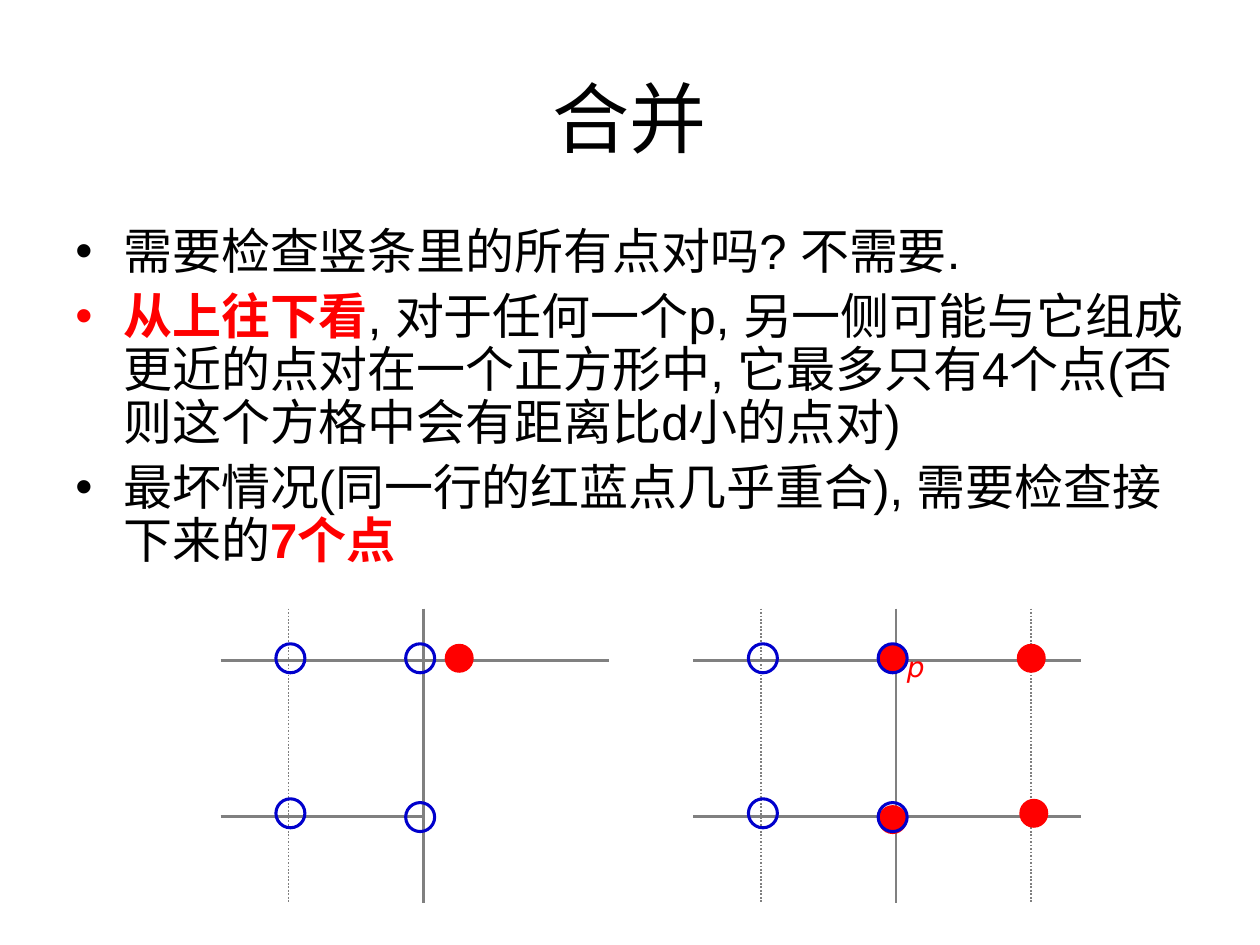
from dataclasses import dataclass

from lxml import etree
from pptx import Presentation
from pptx.dml.color import RGBColor
from pptx.enum.dml import MSO_LINE
from pptx.enum.shapes import MSO_CONNECTOR, MSO_SHAPE
from pptx.enum.text import MSO_ANCHOR, MSO_AUTO_SIZE, PP_ALIGN
from pptx.oxml.ns import qn
from pptx.util import Inches, Pt

STRAIGHT = MSO_CONNECTOR.STRAIGHT
OVAL = MSO_SHAPE.OVAL
DOTS = MSO_LINE.ROUND_DOT
MIDDLE = MSO_ANCHOR.MIDDLE
GROW = MSO_AUTO_SIZE.SHAPE_TO_FIT_TEXT
CENTER = PP_ALIGN.CENTER


@dataclass(frozen=True)
class Theme:
    """Colours, fonts and type sizes of the slide."""
    ink: str = "000000"
    red: str = "FF0000"
    blue: str = "0000CC"
    gray: str = "808080"
    font: str = "Arial"
    label_font: str = "DejaVu Sans"
    title: int = 44
    body: int = 28
    label: int = 16


THEME = Theme()
TOP, BOTTOM = 4.83, 7.17
ROWS = 5.24, 6.48
DOT = 0.23
SHIFT = 3.75

POINTS = [
    [("需要检查竖条里的所有点对吗? 不需要.", False)],
    [("从上往下看", True),
     (", 对于任何一个p, 另一侧可能与它组成更近的点对在一个正方形中, "
      "它最多只有4个点(否则这个方格中会有距离比d小的点对)", False)],
    [("最坏情况(同一行的红蓝点几乎重合), 需要检查接下来的", False),
     ("7个点", True)],
]


def rgb(code):
    """Turn a hex code into a colour."""
    return RGBColor.from_string(code)


def add_box(shapes, left, top, width, height):
    """Add a text box and return its frame."""
    box = shapes.add_textbox(*map(Inches, (left, top, width, height)))
    box.text_frame.word_wrap = True
    return box.text_frame


def set_font(font, name, size, color):
    """Set the face, size and colour of a font."""
    font.name, font.size = name, Pt(size)
    font.color.rgb = rgb(color)


def add_bullet(para, color):
    """Give a paragraph a hanging round bullet."""
    props = para._p.get_or_add_pPr()
    props.set("marL", str(Inches(0.38)))
    props.set("indent", str(Inches(-0.38)))
    tint = etree.SubElement(props, qn("a:buClr"))
    etree.SubElement(tint, qn("a:srgbClr"), val=color)
    etree.SubElement(props, qn("a:buFont"), typeface=THEME.font)
    etree.SubElement(props, qn("a:buChar"), char="•")


def add_title(shapes, text):
    """Add the centred slide title."""
    frame = add_box(shapes, 0.5, 0.3, 9, 1.25)
    frame.vertical_anchor = MIDDLE
    para = frame.paragraphs[0]
    para.text, para.alignment = text, CENTER
    set_font(para.font, THEME.font, THEME.title, THEME.ink)


def add_body(shapes, points):
    """Add the bullet list with its stressed runs."""
    frame = add_box(shapes, 0.5, 1.75, 9, 3)
    for i, parts in enumerate(points):
        para = frame.add_paragraph() if i else frame.paragraphs[0]
        add_bullet(para, THEME.red if parts[0][1] else THEME.ink)
        para.line_spacing = 0.9
        para.space_before = Pt(7 if i else 0)
        set_font(para.font, THEME.font, THEME.body, THEME.ink)
        for text, stress in parts:
            run = para.add_run()
            run.text = text
            if stress:
                run.font.bold = True
                run.font.color.rgb = rgb(THEME.red)


def add_line(shapes, start, end, dotted=False):
    """Add a gray grid line."""
    line = shapes.add_connector(STRAIGHT, *map(Inches, (*start, *end)))
    line.line.color.rgb = rgb(THEME.gray)
    line.line.width = Pt(1 if dotted else 1.5)
    if dotted:
        line.line.dash_style = DOTS
    etree.SubElement(line._element.spPr, qn("a:effectLst"))


def add_dot(shapes, left, top, solid=False):
    """Add a solid red dot or a blue ring."""
    dot = shapes.add_shape(OVAL, *map(Inches, (left, top, DOT, DOT)))
    dot.shadow.inherit = False
    if solid:
        dot.fill.solid()
        dot.fill.fore_color.rgb = rgb(THEME.red)
        dot.line.fill.background()
    else:
        dot.fill.background()
        dot.line.color.rgb = rgb(THEME.blue)
        dot.line.width = Pt(1.75)


def add_grid(shapes, left, ends, sides, reds):
    """Add a strip grid with its red dots below its blue rings."""
    mid = left + 1.61
    add_line(shapes, (mid, TOP), (mid, BOTTOM))
    for row, end in zip(ROWS, ends):
        add_line(shapes, (left, row), (left + end, row))
    for side in sides:
        add_line(shapes, (left + side, TOP), (left + side, BOTTOM), True)
    for x, y in reds:
        add_dot(shapes, left + x, y, True)
    for x, y in ((0.44, 5.11), (0.44, 6.34), (1.47, 6.37), (1.47, 5.11)):
        add_dot(shapes, left + x, y)


def add_label(shapes, text):
    """Add the slanted point label."""
    frame = add_box(shapes, 7.1, 5.11, 0.33, 0.37)
    frame.word_wrap, frame.auto_size = False, GROW
    para = frame.paragraphs[0]
    para.text = text
    set_font(para.font, THEME.label_font, THEME.label, THEME.red)
    para.font.italic = True


def main():
    """Build and save the slide."""
    deck = Presentation()
    deck.slide_width, deck.slide_height = Inches(10), Inches(7.5)
    shapes = deck.slides.add_slide(deck.slide_layouts[6]).shapes
    add_title(shapes, "合并")
    add_body(shapes, POINTS)
    near = shapes.add_group_shape().shapes
    add_grid(near, 1.75, (3.08, 1.61), (0.54,), [(1.78, 5.11)])
    worst = shapes.add_group_shape().shapes
    add_grid(worst, 1.75 + SHIFT, (3.08, 3.08), (0.54, 2.68),
             [(1.47, 5.11), (1.47, 6.39), (2.57, 5.11), (2.59, 6.34)])
    add_label(worst, "p")
    deck.save("out.pptx")


if __name__ == "__main__":
    main()
